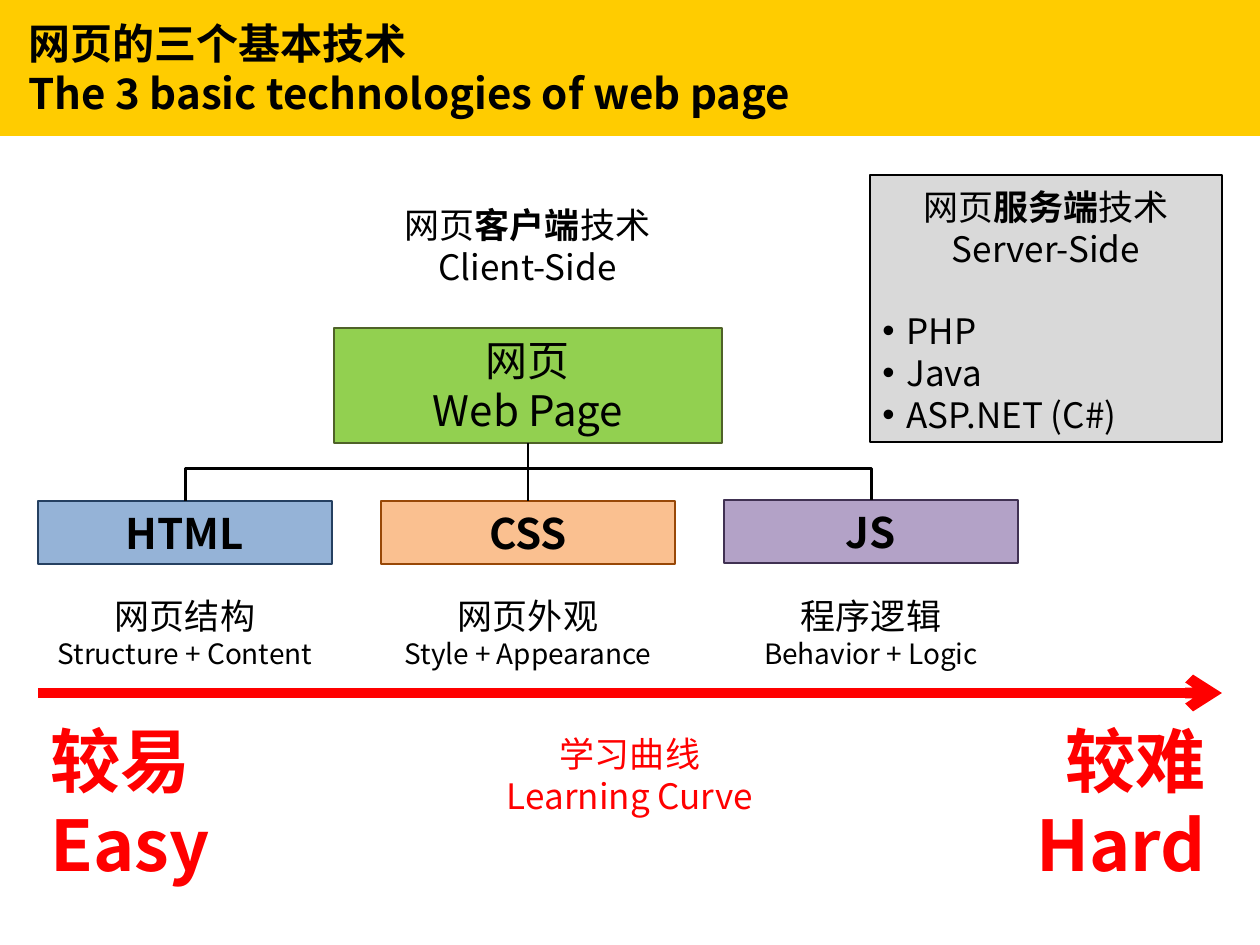
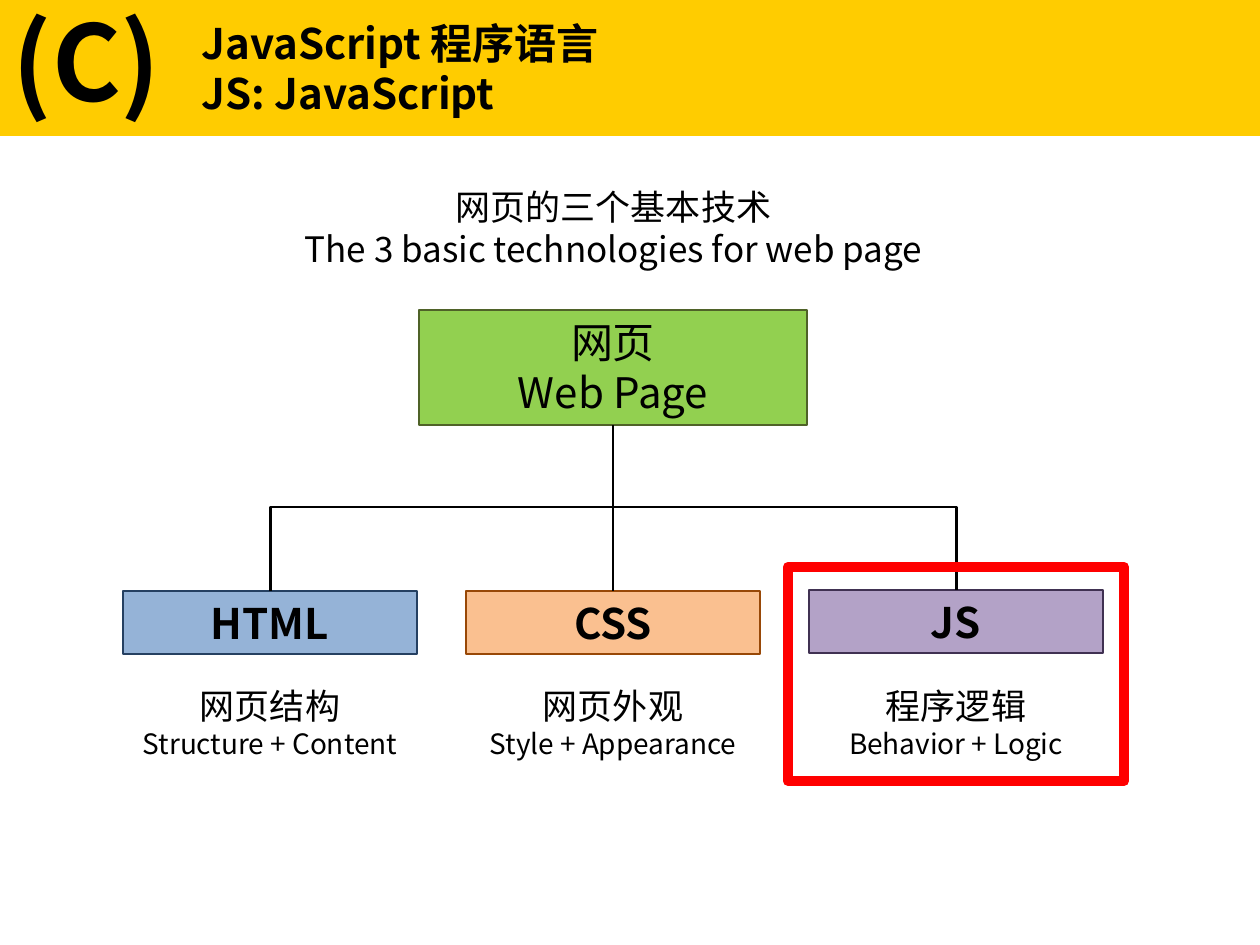
"""Two slides on the three basic technologies of a web page."""
import pptx
import pptx.dml.color
import pptx.enum.shapes
import pptx.enum.text
import pptx.oxml.ns
import pptx.util
from lxml import etree

PX_PER_INCH = 126
FONT = "Noto Sans CJK SC"
COLOURS = {
    "black": "000000", "red": "FF0000", "banner": "FFCC00",
    "server": "D9D9D9", "page": "92D050", "page edge": "4F6228",
    "html": "95B3D7", "html edge": "254061",
    "css": "FAC090", "css edge": "984807",
    "js": "B3A2C7", "js edge": "403152",
}
RECTANGLE = pptx.enum.shapes.MSO_SHAPE.RECTANGLE
STRAIGHT = pptx.enum.shapes.MSO_CONNECTOR.STRAIGHT
ELBOW = pptx.enum.shapes.MSO_CONNECTOR.ELBOW
LEFT = pptx.enum.text.PP_ALIGN.LEFT
CENTER = pptx.enum.text.PP_ALIGN.CENTER
RIGHT = pptx.enum.text.PP_ALIGN.RIGHT
TOP = pptx.enum.text.MSO_ANCHOR.TOP
MIDDLE = pptx.enum.text.MSO_ANCHOR.MIDDLE
BOTTOM = pptx.enum.text.MSO_ANCHOR.BOTTOM
qn = pptx.oxml.ns.qn


def px(length):
    return pptx.util.Emu(round(length * 914400 / PX_PER_INCH))


def place(slide, area, lines, sizes=(20,), bold=False, colour="black", align=CENTER,
          anchor=TOP, fill=None, edge=None, edge_width=1.5, margin=0, bullet=None):
    """Put lines in an area; the odd parts between bars in a line are bold."""
    left, top, width, height = map(px, area)
    if fill or edge:
        panel = slide.shapes.add_shape(RECTANGLE, left, top, width, height)
        panel.shadow.inherit = False
        for part, tone in ((panel.fill, fill), (panel.line.fill, edge)):
            if tone:
                part.solid()
                part.fore_color.rgb = pptx.dml.color.RGBColor.from_string(COLOURS[tone])
            else:
                part.background()
        if edge:
            panel.line.width = pptx.util.Pt(edge_width)
    else:
        panel = slide.shapes.add_textbox(left, top, width, height)
    frame = panel.text_frame
    for name, value in {"word_wrap": True, "vertical_anchor": anchor}.items():
        setattr(frame, name, value)
    for number, line in enumerate(lines):
        paragraph = frame.paragraphs[0] if number == 0 else frame.add_paragraph()
        paragraph.alignment = align
        properties = paragraph._p.get_or_add_pPr()
        properties.set("marL", str(px(margin)))
        if bullet:
            properties.set("indent", str(-px(margin)))
            etree.SubElement(properties, qn("a:buFont"), typeface="Arial")
            etree.SubElement(properties, qn("a:buChar"), char=bullet)
        for position, words in enumerate(line.split("|")):
            run = paragraph.add_run()
            run.text = words
            font_format = {
                "name": FONT,
                "size": pptx.util.Pt(sizes[min(number, len(sizes) - 1)]),
                "bold": bold or position % 2 == 1,
            }
            for name, value in font_format.items():
                setattr(run.font, name, value)
            run.font.color.rgb = pptx.dml.color.RGBColor.from_string(COLOURS[colour])
            etree.SubElement(run._r.get_or_add_rPr(), qn("a:ea"), typeface=FONT)


deck = pptx.Presentation()
deck.slide_width, deck.slide_height = px(1260), px(945)
overview, javascript = [deck.slides.add_slide(deck.slide_layouts[6]) for _ in range(2)]

banners = [
    (overview, 16, ["网页的三个基本技术", "The 3 basic technologies of web page"]),
    (javascript, 189, ["JavaScript 程序语言", "JS: JavaScript"]),
]
for slide, margin, title in banners:
    place(slide, (0, 0, 1260, 136), title, (24,), bold=True, align=LEFT,
          anchor=MIDDLE, fill="banner", margin=margin)
place(javascript, (0, -10, 226, 140), ["(C)"], (60,), bold=True, align=LEFT)

technologies = [
    ("HTML", "html", 0, ["网页结构", "Structure + Content"]),
    ("CSS", "css", 0, ["网页外观", "Style + Appearance"]),
    ("JS", "js", -1, ["程序逻辑", "Behavior + Logic"]),
]
BOX_WIDTH, BOX_HEIGHT, PITCH = 294, 63, 343
PAGE_WIDTH, PAGE_HEIGHT = 388, 115
trees = [(overview, 38, 328, 501, 33), (javascript, 123, 310, 591, 85)]
links = []
for slide, tree_left, page_top, box_top, drop in trees:
    centre = tree_left + PITCH + BOX_WIDTH // 2
    place(slide, (centre - PAGE_WIDTH // 2, page_top, PAGE_WIDTH, PAGE_HEIGHT),
          ["网页", "Web Page"], (24,), fill="page", edge="page edge")
    for column, (name, tone, shift, role) in enumerate(technologies):
        left = tree_left + column * PITCH
        place(slide, (left, box_top + shift, BOX_WIDTH, BOX_HEIGHT), [name], (24,),
              bold=True, fill=tone, edge=tone + " edge")
        place(slide, (left, box_top + 87, BOX_WIDTH, 89), role, (20, 16))
    stem = (centre, page_top + PAGE_HEIGHT, centre, box_top)
    branch = (centre + 1, box_top + PITCH, centre, box_top - PITCH)
    links.append((slide, STRAIGHT, stem, "black", 1.5, None))
    links.append((slide, ELBOW, branch, "black", 1.5, drop))
links.append((overview, STRAIGHT, (38, 693, 1222, 693), "red", 6, None))

for slide, kind, ends, colour, width, drop in links:
    link = slide.shapes.add_connector(kind, *map(px, ends))
    link.line.color.rgb = pptx.dml.color.RGBColor.from_string(COLOURS[colour])
    link.line.width = pptx.util.Pt(width)
    properties = link._element.spPr
    if drop:
        properties.find(qn("a:xfrm")).set("rot", "5400000")
        adjustments = properties.find(qn("a:prstGeom")).find(qn("a:avLst"))
        etree.SubElement(adjustments, qn("a:gd"), name="adj1", fmla=f"val {drop * 100000}")
    if colour == "red":
        etree.SubElement(properties.find(qn("a:ln")), qn("a:tailEnd"), type="arrow")
    etree.SubElement(properties, qn("a:effectLst"))

place(overview, (331, 197, 393, 97), ["网页|客户端|技术", "Client-Side"])
place(overview, (870, 175, 352, 267), ["PHP", "Java", "ASP.NET (C#)"], align=LEFT,
      anchor=BOTTOM, fill="server", edge="black", margin=24, bullet="•")
place(overview, (870, 179, 352, 97), ["网页|服务端|技术", "Server-Side"])
place(overview, (483, 726, BOX_WIDTH, 97), ["学习曲线", "Learning Curve"], colour="red")
curve_ends = [
    ((38, 711, 246, 183), ["较易", "Easy"], LEFT),
    ((1017, 711, 201, 183), ["较难", "Hard"], RIGHT),
]
for area, level, align in curve_ends:
    place(overview, area, level, (40,), bold=True, colour="red", align=align)

place(javascript, (271, 179, 685, 97),
      ["网页的三个基本技术", "The 3 basic technologies for web page"])
place(javascript, (788, 567, 336, 214), [], edge="red", edge_width=6)

deck.save("out.pptx")
